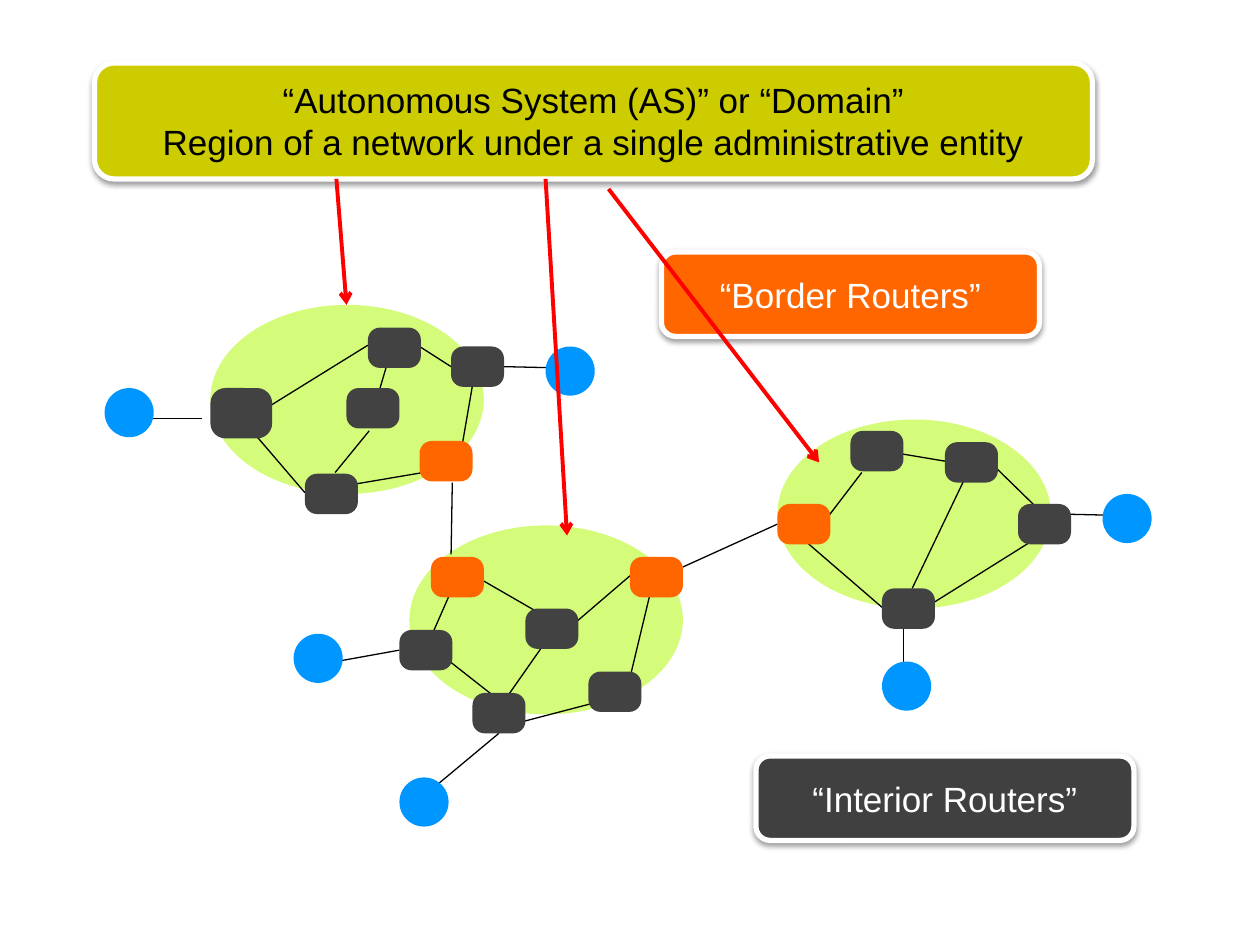
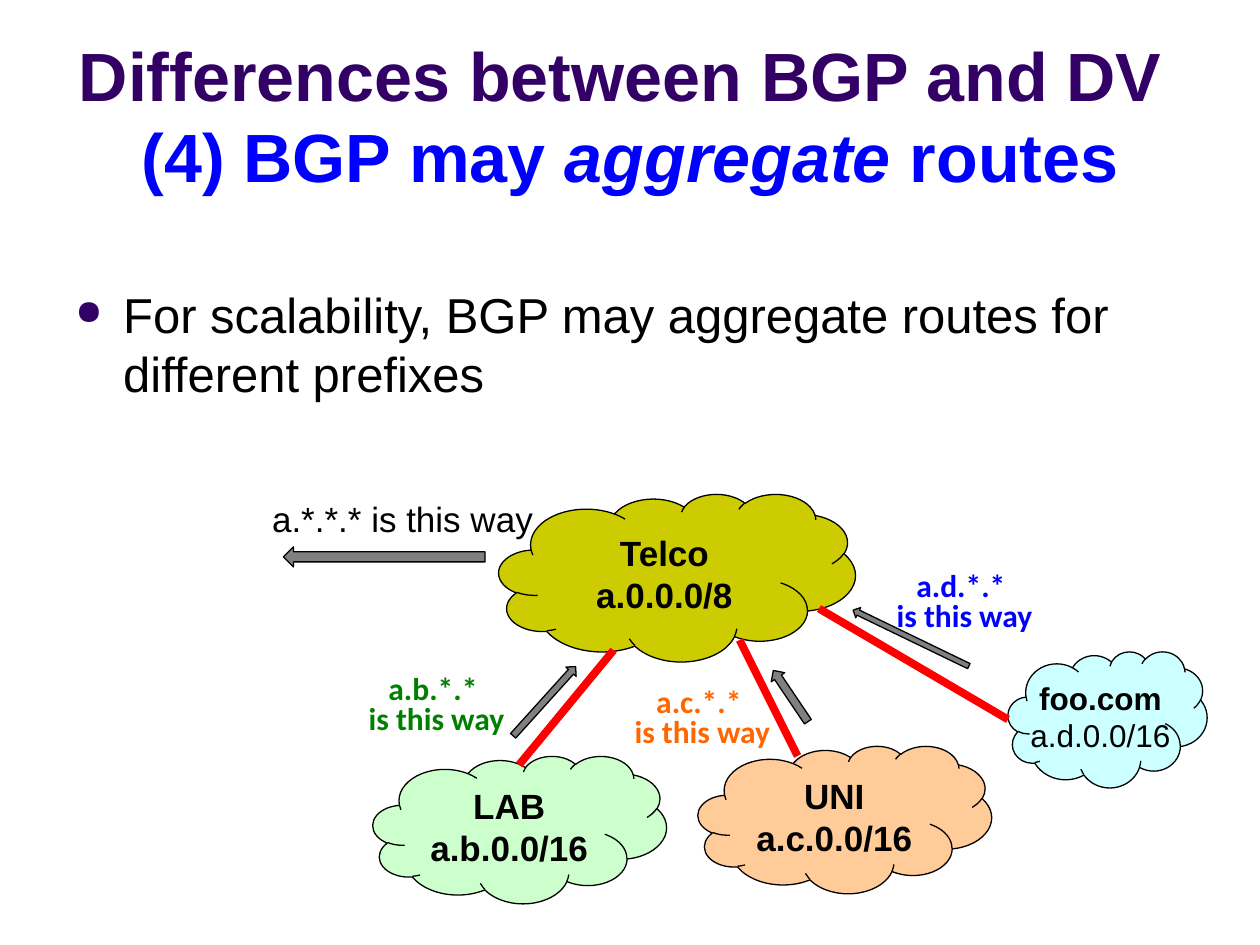
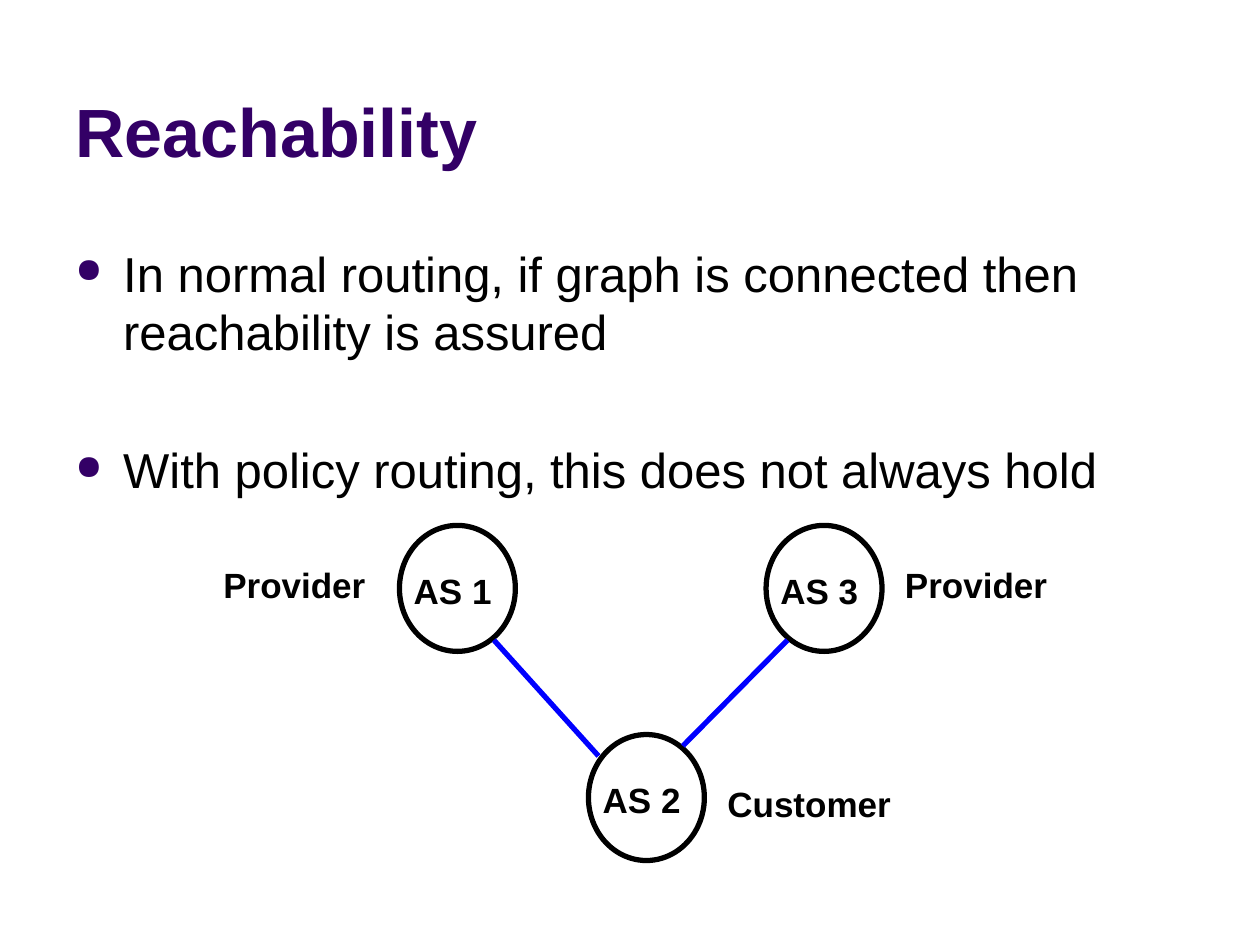
from lxml import etree
from pptx import Presentation
from pptx.dml.color import RGBColor
from pptx.enum.shapes import MSO_CONNECTOR, MSO_SHAPE
from pptx.enum.text import MSO_ANCHOR, MSO_AUTO_SIZE, PP_ALIGN
from pptx.oxml.ns import qn
from pptx.util import Inches, Pt

# Enum members
STRAIGHT = MSO_CONNECTOR.STRAIGHT
OVAL, ROUNDED = MSO_SHAPE.OVAL, MSO_SHAPE.ROUNDED_RECTANGLE
CLOUD, LEFT_ARROW = MSO_SHAPE.CLOUD, MSO_SHAPE.LEFT_ARROW
TOP, MIDDLE, BOTTOM = MSO_ANCHOR.TOP, MSO_ANCHOR.MIDDLE, MSO_ANCHOR.BOTTOM
LEFT, CENTER, RIGHT = PP_ALIGN.LEFT, PP_ALIGN.CENTER, PP_ALIGN.RIGHT
FIT_SHAPE = MSO_AUTO_SIZE.SHAPE_TO_FIT_TEXT

# Colours
BLACK = RGBColor(0x00, 0x00, 0x00)
WHITE = RGBColor(0xFF, 0xFF, 0xFF)
PURPLE = RGBColor(0x33, 0x00, 0x66)
BLUE = RGBColor(0x00, 0x00, 0xFF)
RED = RGBColor(0xFF, 0x00, 0x00)
ORANGE = RGBColor(0xFF, 0x66, 0x00)
GREEN = RGBColor(0x00, 0x80, 0x00)
OLIVE = RGBColor(0xCC, 0xCC, 0x00)
LIME = RGBColor(0xD4, 0xFB, 0x79)
SKY = RGBColor(0x00, 0x96, 0xFF)
CHARCOAL = RGBColor(0x42, 0x42, 0x42)
DARK_GRAY = RGBColor(0x40, 0x40, 0x40)
GRAY = RGBColor(0x80, 0x80, 0x80)
MINT = RGBColor(0xCC, 0xFF, 0xCC)
PEACH = RGBColor(0xFF, 0xCC, 0x99)
ICE = RGBColor(0xCC, 0xFF, 0xFF)

# Slide 1: domains, routers, hosts and links
DOMAINS = [(3.25, 4.17), (6.17, 3.33), (1.67, 2.42)]
HOSTS = [(0.83, 3.08), (2.33, 5.03), (3.17, 6.17), (4.33, 2.75), (7, 5.25), (8.75, 3.92)]
INTERIOR_ROUTERS = [
    (2.42, 3.76), (2.92, 2.6), (2.75, 3.08), (3.58, 2.75),
    (3.17, 5), (3.75, 5.5), (4.17, 4.83), (4.67, 5.33),
    (7.5, 3.51), (6.75, 3.42), (7, 4.67), (8.08, 4),
]
BORDER_ROUTERS = [(6.17, 4), (3.33, 3.5), (3.42, 4.42), (5, 4.42)]
HOST_LINKS = [
    (1.17, 3.32, 1.6, 3.32), (4, 2.91, 4.43, 2.92), (8.42, 4.08, 8.85, 4.09),
    (2.67, 5.25, 3.17, 5.16), (3.42, 6.27, 3.96, 5.82), (7.17, 5.33, 7.17, 4.98),
]
ROUTER_LINKS = [
    (2.08, 3.26, 2.92, 2.74), (3.76, 3, 3.66, 3.58), (2, 3.42, 2.42, 3.91),
    (2.93, 3.42, 2.66, 3.75), (2.83, 3.84, 3.42, 3.74), (3.58, 2.91, 3.33, 2.75),
    (3.09, 2.83, 2.99, 3.17), (3.59, 3.83, 3.58, 4.4), (4.34, 4.9, 3.75, 4.56),
    (3.41, 5.08, 3.59, 4.67), (3.57, 5.25, 3.99, 5.58), (5.17, 4.67, 4.99, 5.42),
    (5, 4.57, 4.58, 4.93), (4.1, 5.74, 4.75, 5.57), (3.99, 5.58, 4.34, 5.08),
    (6.17, 4.16, 5.42, 4.5), (6.34, 4.25, 7, 4.82), (8.26, 4.25, 7.35, 4.82),
    (7.5, 3.66, 7.08, 3.59), (6.84, 3.75, 6.58, 4.09), (8.26, 4.06, 7.85, 3.66),
    (7.24, 4.67, 7.68, 3.75),
]
DOMAIN_ARROWS = [(2.67, 1.42, 2.75, 2.42), (4.33, 1.42, 4.5, 4.25), (4.83, 1.5, 6.5, 3.67)]


# Text
def add_span(para, text, size, color=BLACK, bold=False, italic=False, font="Arial"):
    span = para.add_run()
    span.text = text
    span.font.name = font
    span.font.size = Pt(size)
    span.font.bold = bold
    span.font.italic = italic
    span.font.color.rgb = color


def write_lines(para, lines, size, align=CENTER, **style):
    """Write lines with breaks between; a line is a list of (text, own style)."""
    para.alignment = align
    for number, line in enumerate(lines):
        if number:
            para.add_line_break()
        for text, own_style in line:
            add_span(para, text, size, **{**style, **own_style})


def plain(*lines):
    return [[(line, {})] for line in lines]


def add_text_box(page, at, anchor=TOP, wrap=True):
    frame = page.shapes.add_textbox(*map(Inches, at)).text_frame
    frame.word_wrap = wrap
    frame.vertical_anchor = anchor
    return frame


def add_title(page, top, lines, align):
    frame = add_text_box(page, (0.5, top, 9, 1.28), BOTTOM)
    write_lines(frame.paragraphs[0], lines, 39, align, color=PURPLE, bold=True)


def add_bullets(page, top, height, texts, gap=5.6):
    frame = add_text_box(page, (0.5, top, 9, height))
    for number, text in enumerate(texts):
        para = frame.add_paragraph() if number else frame.paragraphs[0]
        para.space_before = Pt(gap if number else 5.6)
        props = para._p.get_or_add_pPr()
        props.set("marL", str(Inches(0.38)))
        props.set("indent", str(-Inches(0.38)))
        color = etree.SubElement(props, qn("a:buClr"))
        etree.SubElement(color, qn("a:srgbClr"), val=str(PURPLE))
        etree.SubElement(props, qn("a:buSzPct"), val="70000")
        etree.SubElement(props, qn("a:buChar"), char="●")
        add_span(para, text, 28)


def add_label(page, at, lines, size=20, align=RIGHT, anchor=TOP, spacing=None, **style):
    frame = add_text_box(page, at, anchor, wrap=False)
    frame.auto_size = FIT_SHAPE
    para = frame.paragraphs[0]
    if spacing:
        para.line_spacing = spacing
    write_lines(para, plain(*lines), size, align, **style)


# Shapes and lines
def add_figure(page, kind, at, fill=None, line=None, width=0.75):
    figure = page.shapes.add_shape(kind, *map(Inches, at))
    figure.shadow.inherit = False
    if fill is None:
        figure.fill.background()
    else:
        figure.fill.solid()
        figure.fill.fore_color.rgb = fill
    if line is None:
        figure.line.fill.background()
    else:
        figure.line.color.rgb = line
        figure.line.width = Pt(width)
    return figure


def write_inside(figure, lines, **style):
    frame = figure.text_frame
    frame.word_wrap = False
    frame.vertical_anchor = MIDDLE
    write_lines(frame.paragraphs[0], lines, **style)


def add_line(page, ends, color=BLACK, width=0.75, arrow=False):
    line = page.shapes.add_connector(STRAIGHT, *map(Inches, ends))
    line.line.color.rgb = color
    line.line.width = Pt(width)
    if arrow:
        etree.SubElement(line.line._get_or_add_ln(), qn("a:tailEnd"), type="arrow")
    etree.SubElement(line._element.spPr, qn("a:effectLst"))


def add_callout(page, at, fill, color, *lines):
    callout = add_figure(page, ROUNDED, at, fill, WHITE, 3)
    effects = callout._element.spPr.find(qn("a:effectLst"))
    shadow = etree.SubElement(effects, qn("a:outerShdw"), blurRad="40000", dist="20000",
                              dir="5400000", rotWithShape="0")
    tint = etree.SubElement(shadow, qn("a:srgbClr"), val=str(BLACK))
    etree.SubElement(tint, qn("a:alpha"), val="38000")
    write_inside(callout, plain(*lines), size=20, color=color)


def add_router(page, at, fill, size=(0.42, 0.32)):
    add_figure(page, ROUNDED, (*at, *size), fill).adjustments[0] = 0.3


def add_cloud(page, at, fill, lines, size=20):
    cloud = add_figure(page, CLOUD, at, fill, BLACK)
    write_inside(cloud, lines, size=size, bold=True)


def add_route_arrow(page, at, rotation=0):
    add_figure(page, LEFT_ARROW, at, GRAY, BLACK).rotation = rotation


def add_system(page, left, top, name):
    add_figure(page, OVAL, (left, top, 0.92, 1), line=BLACK, width=3)
    add_label(page, (left + 0.01, top + 0.3, 0.82, 0.43), [name], anchor=MIDDLE, bold=True)


# Slides
def build_domains(page):
    for corner in DOMAINS:
        add_figure(page, OVAL, (*corner, 2.17, 1.5), LIME)
    for ends in HOST_LINKS + ROUTER_LINKS:
        add_line(page, ends)
    add_callout(page, (6, 6, 3, 0.67), DARK_GRAY, WHITE, "“Interior Routers”")
    add_callout(page, (0.75, 0.5, 7.92, 0.92), OLIVE, BLACK,
                "“Autonomous System (AS)” or “Domain”",
                "Region of a network under a single administrative entity")
    for corner in HOSTS:
        add_figure(page, OVAL, (*corner, 0.39, 0.39), SKY)
    add_router(page, (1.67, 3.08), CHARCOAL, (0.49, 0.4))
    for corners, fill in ((INTERIOR_ROUTERS, CHARCOAL), (BORDER_ROUTERS, ORANGE)):
        for corner in corners:
            add_router(page, corner, fill)
    add_callout(page, (5.25, 2, 3, 0.67), ORANGE, WHITE, "“Border Routers”")
    for ends in DOMAIN_ARROWS:
        add_line(page, ends, RED, 2.25, arrow=True)


def build_aggregation(page):
    blue = {"color": BLUE}
    add_title(page, 0.33, [
        [("Differences between BGP and DV ", {})],
        [("(4) BGP may ", blue), ("aggregate", {**blue, "italic": True}), (" routes", blue)],
    ], CENTER)
    add_bullets(page, 2.21, 1.04,
                ["For scalability, BGP may aggregate routes for different prefixes"])

    # Networks and the links between them
    add_cloud(page, (3.96, 3.92, 2.83, 1.33), OLIVE, plain("Telco", "a.0.0.0/8"))
    add_cloud(page, (2.96, 6, 2.33, 1.17), MINT, plain("LAB", "a.b.0.0/16"))
    add_cloud(page, (5.54, 5.92, 2.33, 1.17), PEACH, plain("UNI", "a.c.0.0/16"))
    add_cloud(page, (8, 5.17, 1.58, 1.08), ICE,
              [[("foo.com", {})], [("a.d.0.0/16", {"bold": False})]], 18)
    for ends in ((4.87, 5.16, 4.12, 6.07), (5.87, 5.08, 6.33, 6), (6.5, 4.83, 8, 5.71)):
        add_line(page, ends, RED, 4.5)

    # Announced routes
    add_route_arrow(page, (3.95, 5.51, 0.74, 0.11), 132.1)
    add_route_arrow(page, (6.72, 5.02, 1.02, 0.09), 25.8)
    add_route_arrow(page, (6.03, 5.46, 0.49, 0.13), 56)
    add_route_arrow(page, (2.25, 4.34, 1.6, 0.16))
    add_label(page, (2.04, 3.9, 2.29, 0.44), ["a.*.*.* is this way"])
    for left, top, prefix, color in ((2.81, 5.32, "a.b.*.* ", GREEN),
                                     (4.92, 5.42, "a.c.*.* ", ORANGE),
                                     (7, 4.5, "a.d.*.* ", BLUE)):
        add_label(page, (left, top, 1.31, 0.6), [prefix, "is this way"], 18, CENTER,
                  spacing=0.8, color=color, bold=True, font="Calibri")


def build_reachability(page):
    add_title(page, 0.13, plain("Reachability"), LEFT)
    add_bullets(page, 1.88, 4.82, [
        "In normal routing, if graph is connected then reachability is assured",
        "With policy routing, this does not always hold",
    ], gap=45)
    for left, top, name in ((4.67, 5.83, "AS 2"), (6.08, 4.17, "AS 3"), (3.17, 4.17, "AS 1")):
        add_system(page, left, top, name)
    for ends in ((5.42, 5.92, 6.25, 5.08), (4.75, 6, 3.92, 5.08)):
        add_line(page, ends, BLUE, 3)
    for left, top, width, role in ((1.67, 4.42, 1.33, "Provider"),
                                   (7.08, 4.42, 1.33, "Provider"),
                                   (5.65, 6.16, 1.52, "Customer")):
        add_label(page, (left, top, width, 0.43), [role], anchor=MIDDLE, bold=True)


def main():
    deck = Presentation()
    deck.slide_width, deck.slide_height = Inches(10), Inches(7.5)
    for build in (build_domains, build_aggregation, build_reachability):
        build(deck.slides.add_slide(deck.slide_layouts[6]))
    deck.save("out.pptx")


if __name__ == "__main__":
    main()
